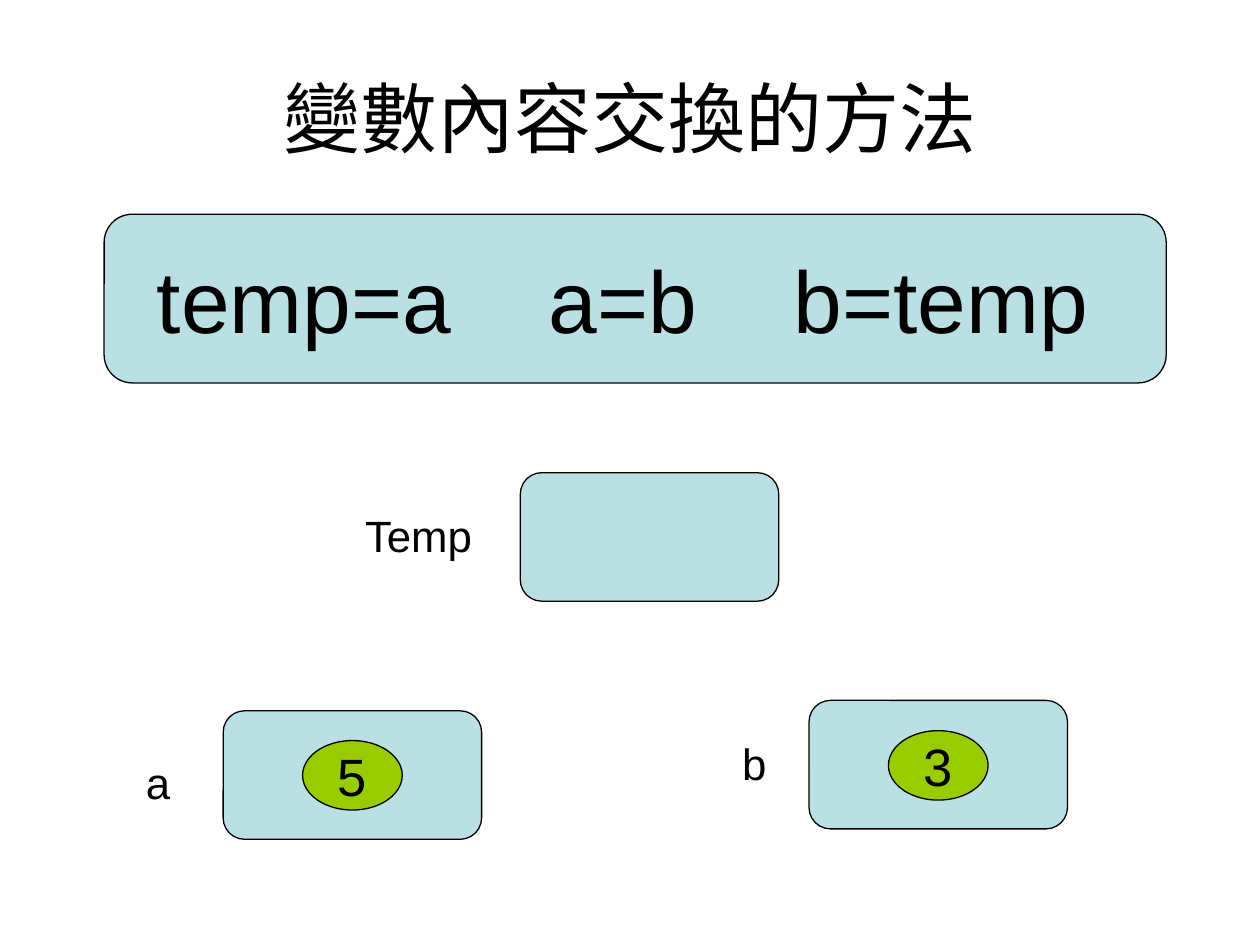
from lxml.etree import SubElement
from pptx import Presentation
from pptx.dml.color import RGBColor
from pptx.enum.shapes import MSO_SHAPE
from pptx.enum.text import MSO_ANCHOR, MSO_AUTO_SIZE, PP_ALIGN
from pptx.oxml.ns import qn
from pptx.util import Cm, Pt

BLACK = RGBColor(0x00, 0x00, 0x00)
PALE_BLUE = RGBColor(0xBB, 0xE0, 0xE3)
GREEN = RGBColor(0x99, 0xCC, 0x00)


def write(shape, text, size, alignment):
    shape.text_frame.text = text
    paragraph = shape.text_frame.paragraphs[0]
    paragraph.alignment = alignment
    paragraph.font.name = "Arial"
    paragraph.font.size = Pt(size)
    paragraph.font.color.rgb = BLACK
    return paragraph


def add_outlined(kind, left, top, width, height, fill):
    shape = slide.shapes.add_shape(kind, Cm(left), Cm(top), Cm(width), Cm(height))
    shape.shadow.inherit = False
    shape.fill.solid()
    shape.fill.fore_color.rgb = fill
    shape.line.color.rgb = BLACK
    shape.line.width = Pt(0.75)
    shape.text_frame.vertical_anchor = MSO_ANCHOR.MIDDLE
    return shape


presentation = Presentation()
presentation.slide_width = Cm(25.4)
presentation.slide_height = Cm(19.05)
slide = presentation.slides.add_slide(presentation.slide_layouts[5])

title = slide.shapes.title
title.left, title.top, title.width, title.height = Cm(1.27), Cm(0.76), Cm(22.86), Cm(3.18)
title.text_frame.vertical_anchor = MSO_ANCHOR.MIDDLE
write(title, "變數內容交換的方法", 44, PP_ALIGN.CENTER)

steps = add_outlined(MSO_SHAPE.ROUNDED_RECTANGLE, 2.1, 4.32, 21.41, 3.4, PALE_BLUE)
steps.text_frame.word_wrap = True
steps.text_frame.margin_left = Cm(0.9)
steps.text_frame.margin_right = Cm(0)
paragraph = write(steps, "temp=a\ta=b\tb=temp", 50, PP_ALIGN.LEFT)
tab_list = SubElement(paragraph.font._element.getparent(), qn("a:tabLst"))
paragraph.font._element.addprevious(tab_list)
for position in (7.89, 12.84):
    SubElement(tab_list, qn("a:tab"), pos=str(Cm(position)), algn="l")

for left, top in ((4.5, 14.33), (10.49, 9.53), (16.31, 14.12)):
    add_outlined(MSO_SHAPE.ROUNDED_RECTANGLE, left, top, 5.21, 2.59, PALE_BLUE)

for name, left, top, width in (
    ("Temp", 7.11, 10.13, 2.74),
    ("a", 2.69, 15.11, 0.99),
    ("b", 14.71, 14.73, 0.99),
):
    label = slide.shapes.add_textbox(Cm(left), Cm(top), Cm(width), Cm(1.32))
    label.text_frame.word_wrap = False
    label.text_frame.auto_size = MSO_AUTO_SIZE.SHAPE_TO_FIT_TEXT
    write(label, name, 25, PP_ALIGN.LEFT)

for value, left, top in (("5", 6.1, 14.93), ("3", 17.91, 14.73)):
    ellipse = add_outlined(MSO_SHAPE.OVAL, left, top, 2.01, 1.4, GREEN)
    ellipse.text_frame.word_wrap = False
    write(ellipse, value, 30, PP_ALIGN.CENTER)

presentation.save("out.pptx")
